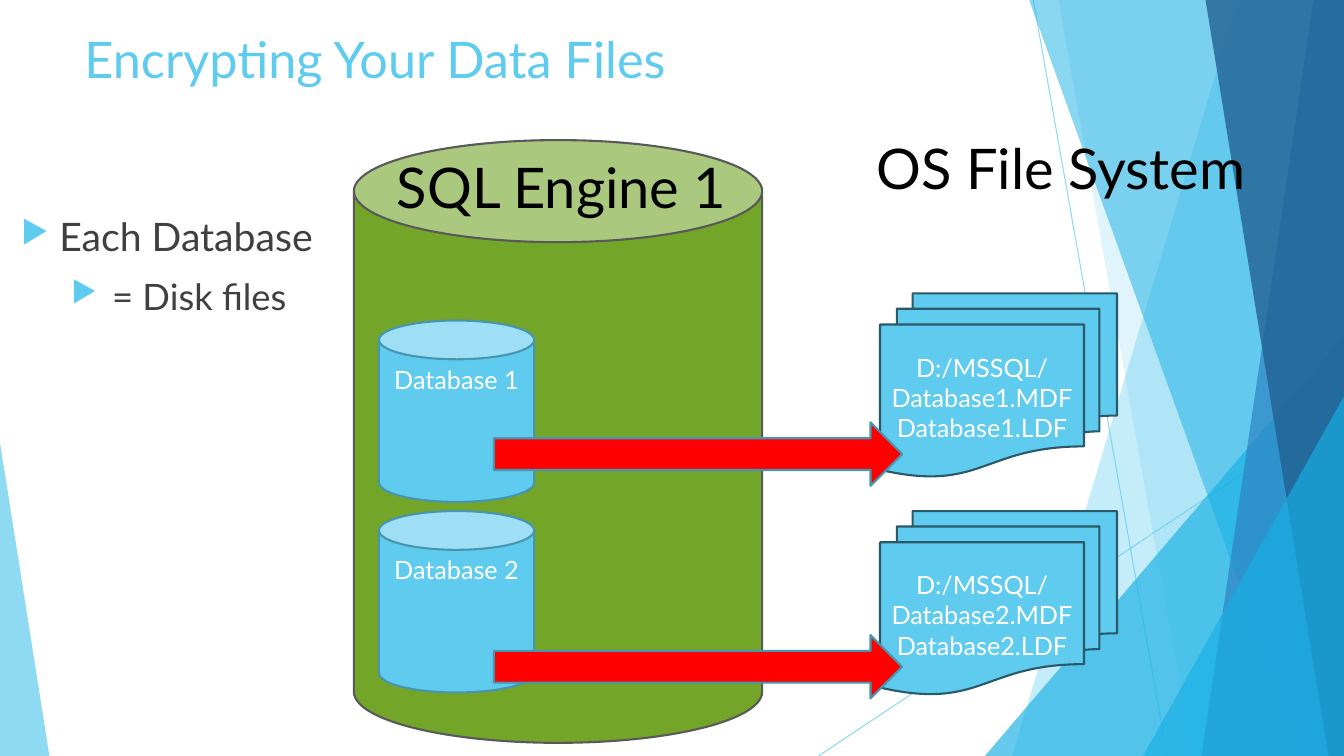
from dataclasses import dataclass
from typing import Optional

from lxml.etree import SubElement
from pptx import Presentation
from pptx.dml.color import RGBColor
from pptx.enum.shapes import MSO_CONNECTOR, MSO_SHAPE
from pptx.enum.text import MSO_ANCHOR, PP_ALIGN
from pptx.oxml.ns import qn
from pptx.util import Emu, Inches, Pt

SKY = RGBColor(0x5F, 0xCB, 0xEF)
CYAN = RGBColor(0x17, 0xB0, 0xE4)
BLUE = RGBColor(0x2E, 0x83, 0xC3)
NAVY = RGBColor(0x22, 0x62, 0x92)
GREEN = RGBColor(0x72, 0xA5, 0x28)
RED = RGBColor(0xFF, 0x00, 0x00)
STEEL = RGBColor(0x46, 0x96, 0xB1)
TEAL = RGBColor(0x2A, 0x59, 0x69)
GRAY = RGBColor(0x59, 0x59, 0x59)
CHARCOAL = RGBColor(0x40, 0x40, 0x40)
BLACK = RGBColor(0x00, 0x00, 0x00)
WHITE = RGBColor(0xFF, 0xFF, 0xFF)

FONT = "Lato"
WIDTH = Inches(40 / 3)
HEIGHT = Inches(7.5)


@dataclass(frozen=True)
class Area:
    """Left, top, width and height in percent of the slide."""
    left: float
    top: float
    width: float
    height: float


@dataclass(frozen=True)
class Ray:
    start: tuple[float, float]
    end: tuple[float, float]


@dataclass(frozen=True)
class Facet:
    top: float
    bottom: float
    color: RGBColor
    opacity: int


@dataclass(frozen=True)
class Wedge:
    area: Area
    apex: int
    color: RGBColor
    opacity: int


@dataclass(frozen=True)
class Database:
    number: int
    can_top: float
    files_top: float
    arrow_top: float


@dataclass(frozen=True)
class Bullet:
    text: str
    size: int
    level: int
    indent: float
    hanging: float
    before: int


RAYS = [Ray((76.88, 0), (86.85, 100)), Ray((100, 53.73), (60.9, 100))]
BACKDROP = [
    Facet(92.1, 75.3, SKY, 36),
    Facet(78.75, 88.73, SKY, 20),
    Wedge(Area(73.28, 44.4, 26.72, 55.6), 1, CYAN, 66),
    Facet(76.58, 96.83, CYAN, 50),
    Facet(97.73, 89.4, BLUE, 70),
    Facet(89.7, 98.85, NAVY, 80),
    Wedge(Area(85.05, 52.4, 14.95, 47.6), 1, CYAN, 66),
    Wedge(Area(0, 58.53, 3.68, 41.47), 0, SKY, 70),
]
DATABASES = [Database(1, 42.4, 38.8, 55.87), Database(2, 67.6, 67.6, 84)]
BULLETS = [
    Bullet("Each Database", 28, 0, 0.38, 0.38, 0),
    Bullet(" = Disk files", 26, 1, 0.81, 0.31, 10),
]


def across(percent: float) -> Emu:
    return Emu(round(WIDTH * percent / 100))


def down(percent: float) -> Emu:
    return Emu(round(HEIGHT * percent / 100))


def frame(area: Area) -> tuple[Emu, Emu, Emu, Emu]:
    return across(area.left), down(area.top), across(area.width), down(area.height)


def set_opacity(fill, percent: int) -> None:
    color = fill._xPr.find(qn("a:solidFill"))[0]
    SubElement(color, qn("a:alpha"), val=str(percent * 1000))


def paint(shape, color: RGBColor, outline: Optional[RGBColor] = None, opacity: int = 100) -> None:
    shape.shadow.inherit = False
    shape.fill.solid()
    shape.fill.fore_color.rgb = color
    if opacity < 100:
        set_opacity(shape.fill, opacity)
    if outline is None:
        shape.line.fill.background()
    else:
        shape.line.color.rgb = outline
        shape.line.width = Pt(1.5)


def write(para, text: str, *, size: int, color: RGBColor, align=PP_ALIGN.LEFT) -> None:
    para.text = text
    para.alignment = align
    for span in para.runs:
        span.font.name = FONT
        span.font.size = Pt(size)
        span.font.color.rgb = color


def add_ray(page, ray: Ray) -> None:
    line = page.shapes.add_connector(
        MSO_CONNECTOR.STRAIGHT, across(ray.start[0]), down(ray.start[1]),
        across(ray.end[0]), down(ray.end[1]))
    line.line.color.rgb = SKY
    line.line.width = Pt(0.75)
    set_opacity(line.line.fill, 70)
    SubElement(line._element.spPr, qn("a:effectLst"))


def add_facet(page, facet: Facet) -> None:
    builder = page.shapes.build_freeform(across(facet.top), 0)
    corners = [(100, 0), (100, 100), (facet.bottom, 100)]
    builder.add_line_segments([(across(x), down(y)) for x, y in corners], close=True)
    paint(builder.convert_to_shape(), facet.color, opacity=facet.opacity)


def add_wedge(page, wedge: Wedge) -> None:
    shape = page.shapes.add_shape(MSO_SHAPE.ISOSCELES_TRIANGLE, *frame(wedge.area))
    shape.adjustments[0] = wedge.apex
    paint(shape, wedge.color, opacity=wedge.opacity)


def add_figure(page, kind, area: Area, color: RGBColor, outline: RGBColor,
               text: str = "", anchor=MSO_ANCHOR.MIDDLE) -> None:
    shape = page.shapes.add_shape(kind, *frame(area))
    paint(shape, color, outline)
    shape.text_frame.vertical_anchor = anchor
    if text:
        write(shape.text_frame.paragraphs[0], text, size=18, color=WHITE, align=PP_ALIGN.CENTER)


def add_label(page, area: Area, text: str, *, size: int, color: RGBColor) -> None:
    box = page.shapes.add_textbox(*frame(area))
    box.text_frame.word_wrap = True
    write(box.text_frame.paragraphs[0], text, size=size, color=color)


def add_bullets(page, area: Area, bullets: list[Bullet]) -> None:
    body = page.shapes.add_textbox(*frame(area)).text_frame
    body.word_wrap = True
    for index, bullet in enumerate(bullets):
        para = body.add_paragraph() if index else body.paragraphs[0]
        para.level = bullet.level
        para.space_before = Pt(bullet.before)
        settings = para._p.get_or_add_pPr()
        settings.set("marL", str(Inches(bullet.indent)))
        settings.set("indent", str(-Inches(bullet.hanging)))
        tint = SubElement(settings, qn("a:buClr"))
        SubElement(tint, qn("a:srgbClr"), val=str(SKY))
        SubElement(settings, qn("a:buSzPct"), val="80000")
        SubElement(settings, qn("a:buChar"), char="▶")
        write(para, bullet.text, size=bullet.size, color=CHARCOAL)


def add_database(page, database: Database) -> None:
    name = f"Database{database.number}"
    add_figure(page, MSO_SHAPE.CAN, Area(28.2, database.can_top, 11.55, 24), SKY, STEEL,
               f"Database {database.number}", MSO_ANCHOR.TOP)
    add_figure(page, MSO_SHAPE.FLOWCHART_MULTIDOCUMENT,
               Area(65.48, database.files_top, 17.63, 24.27), SKY, TEAL,
               f"D:/MSSQL/\n{name}.MDF\n{name}.LDF")
    add_figure(page, MSO_SHAPE.RIGHT_ARROW, Area(36.75, database.arrow_top, 30.38, 8.4), RED, STEEL)


def main() -> None:
    deck = Presentation()
    deck.slide_width, deck.slide_height = WIDTH, HEIGHT
    page = deck.slides.add_slide(deck.slide_layouts[6])
    for ray in RAYS:
        add_ray(page, ray)
    for piece in BACKDROP:
        if isinstance(piece, Facet):
            add_facet(page, piece)
        else:
            add_wedge(page, piece)
    add_label(page, Area(5.55, 3.07, 70.5, 19.2), "Encrypting Your Data Files", size=36, color=SKY)
    add_bullets(page, Area(0.83, 27.47, 24.6, 56.53), BULLETS)
    add_figure(page, MSO_SHAPE.CAN, Area(26.33, 18.53, 30.38, 79.73), GREEN, GRAY)
    add_label(page, Area(28.8, 19.47, 27, 10.27), "SQL Engine 1", size=40, color=BLACK)
    add_label(page, Area(64.5, 17.07, 29.93, 10.27), "OS File System", size=40, color=BLACK)
    for database in DATABASES:
        add_database(page, database)
    deck.save("out.pptx")


if __name__ == "__main__":
    main()
